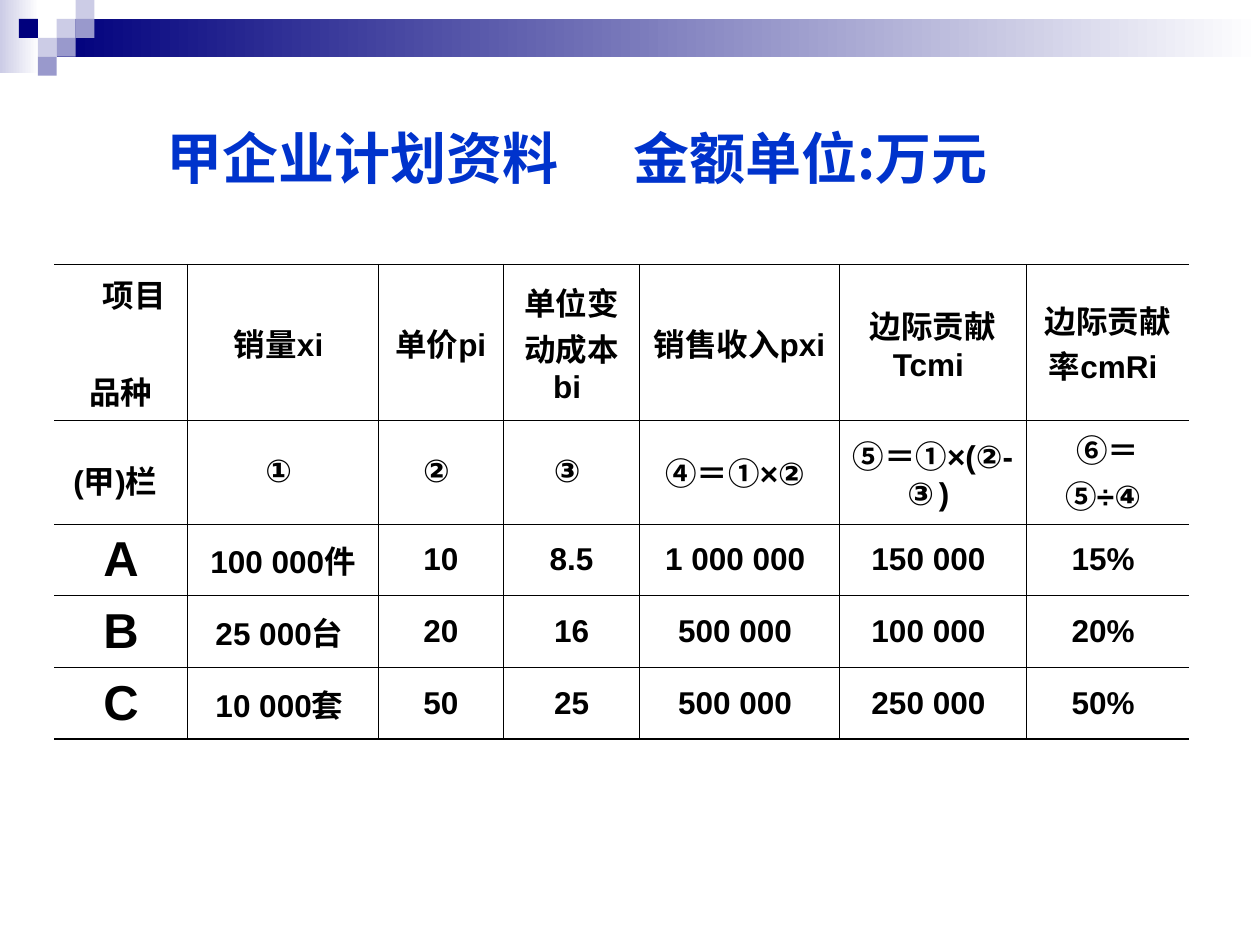
from lxml import etree
from pptx import Presentation
from pptx.dml.color import RGBColor
from pptx.enum.shapes import MSO_SHAPE
from pptx.enum.text import MSO_ANCHOR, PP_ALIGN
from pptx.oxml.ns import qn
from pptx.util import Pt

RECTANGLE = MSO_SHAPE.RECTANGLE
MIDDLE = MSO_ANCHOR.MIDDLE
LEFT, CENTER = PP_ALIGN.LEFT, PP_ALIGN.CENTER

TITLE = "甲企业计划资料\t金额单位:万元"
ROWS = [
    ["项目\n品种", "销量xi ", "单价pi ", "单位变动成本bi ", "销售收入pxi ",
     "边际贡献Tcmi ", "边际贡献率cmRi "],
    ["(甲)栏", "① ", "② ", "③ ", "④＝①×② ", "⑤＝①×(②-③) ", "⑥＝⑤÷④ "],
    ["A", "100 000件", "10", "8.5", "1 000 000 ", "150 000 ", "15% "],
    ["B", "25 000台 ", "20", "16", "500 000 ", "100 000 ", "20% "],
    ["C", "10 000套 ", "50", "25", "500 000 ", "250 000 ", "50% "],
]
COLUMN_WIDTHS = [76.2, 109, 71.4, 78, 114, 107, 92.8]
ROW_HEIGHTS = [81.4, 50.4, 41, 41, 41]

UNIT = 10.8
MOSAIC_LEFT = 2 * UNIT
# Column and row of each mosaic square, by colour
MOSAIC = {
    "CCCCE6": [(1, 1), (2, 0), (0, 2)],
    "9999CC": [(2, 1), (1, 2), (0, 3)],
    "00007D": [(-1, 1)],
}


def rgb(value):
    return RGBColor.from_string(value)


def add_text(paragraph, text, size=18, color="000000", latin="Arial",
             east_asian="Noto Sans CJK SC", bold=True):
    run = paragraph.add_run()
    run.text = text
    font = run.font
    font.size, font.bold, font.name = Pt(size), bold, latin
    font.color.rgb = rgb(color)
    etree.SubElement(run.font._element, qn("a:ea"), typeface=east_asian)


def set_border(cell, side, width, color="000000"):
    """Draw one side (L, R, T or B) of a cell; no width means no line."""
    line = etree.SubElement(cell._tc.get_or_add_tcPr(), qn(f"a:ln{side}"))
    if not width:
        etree.SubElement(line, qn("a:noFill"))
        return
    line.set("w", str(int(Pt(width))))
    fill = etree.SubElement(line, qn("a:solidFill"))
    etree.SubElement(fill, qn("a:srgbClr"), val=color)


class SlideBuilder:
    title_color = "0033CC"
    inner_line, outer_line = 0.45, 1.08

    def __init__(self, slide):
        self.slide = slide

    def rectangle(self, left, top, width, height, *colors):
        """One colour gives a plain fill, two a left-to-right gradient."""
        shape = self.slide.shapes.add_shape(
            RECTANGLE, Pt(left), Pt(top), Pt(width), Pt(height))
        shape.shadow.inherit = False
        shape.line.fill.background()
        if len(colors) == 1:
            shape.fill.solid()
            shape.fill.fore_color.rgb = rgb(colors[0])
            return
        shape.fill.gradient()
        shape.fill.gradient_angle = 0
        for stop, color in zip(shape.fill.gradient_stops, colors):
            stop.color.rgb = rgb(color)

    def title(self, text, left, top, width, height, inset, tab):
        title = self.slide.shapes.title
        title.left, title.top = Pt(left), Pt(top)
        title.width, title.height = Pt(width), Pt(height)
        frame = title.text_frame
        frame.word_wrap = True
        frame.vertical_anchor = MIDDLE
        frame.margin_left = Pt(inset)
        paragraph = frame.paragraphs[0]
        paragraph.alignment = LEFT
        tabs = etree.SubElement(paragraph._p.get_or_add_pPr(), qn("a:tabLst"))
        etree.SubElement(tabs, qn("a:tab"), pos=str(int(Pt(tab))), algn="l")
        add_text(paragraph, text, size=32, color=self.title_color,
                 latin="Noto Sans CJK SC")

    def table(self, rows, left, top, widths, heights):
        table = self.slide.shapes.add_table(
            len(rows), len(widths), Pt(left), Pt(top),
            Pt(sum(widths)), Pt(sum(heights))).table
        table.first_row = table.horz_banding = False
        for column, width in zip(table.columns, widths):
            column.width = Pt(width)
        for row, height in zip(table.rows, heights):
            row.height = Pt(height)
        last_row, last_column = len(rows) - 1, len(widths) - 1
        for r, texts in enumerate(rows):
            for c, text in enumerate(texts):
                cell = table.cell(r, c)
                is_product = c == 0 and r > 1
                self.cell_text(cell, text, 28 if is_product else 18)
                set_border(cell, "L", self.inner_line if c > 0 else 0)
                set_border(cell, "R", self.inner_line if c < last_column else 0)
                set_border(cell, "T", self.inner_line if r > 0 else self.outer_line)
                set_border(cell, "B", self.inner_line if r < last_row else self.outer_line)
                cell.fill.background()
        return table

    def cell_text(self, cell, text, size):
        cell.vertical_anchor = MIDDLE
        frame = cell.text_frame
        for i, line in enumerate(text.split("\n")):
            paragraph = frame.add_paragraph() if i else frame.paragraphs[0]
            paragraph.alignment = CENTER
            add_text(paragraph, line, size=size)


def main():
    deck = Presentation()
    deck.slide_width, deck.slide_height = Pt(720), Pt(540)
    builder = SlideBuilder(deck.slides.add_slide(deck.slide_layouts[5]))

    builder.rectangle(0, 0, 22.3, 41.8, "CCCCE6", "FFFFFF")
    bar_left = MOSAIC_LEFT + UNIT
    builder.rectangle(bar_left, UNIT, 720 - bar_left, 2 * UNIT, "00007D", "FFFFFF")
    for color, squares in MOSAIC.items():
        for column, row in squares:
            builder.rectangle(MOSAIC_LEFT + column * UNIT, row * UNIT,
                              UNIT, UNIT, color)

    builder.title(TITLE, 36, 52.6, 669.6, 74.9, inset=59, tab=267)
    table = builder.table(ROWS, 31, 151.2, COLUMN_WIDTHS, ROW_HEIGHTS)

    item, product = table.cell(0, 0).text_frame.paragraphs
    item._p.get_or_add_pPr().set("marL", str(int(Pt(15))))
    product.space_before = Pt(29.5)
    # The larger closing space sets the line height of this label
    add_text(table.cell(1, 0).text_frame.paragraphs[0], " ", size=28)

    deck.save("out.pptx")


if __name__ == "__main__":
    main()
